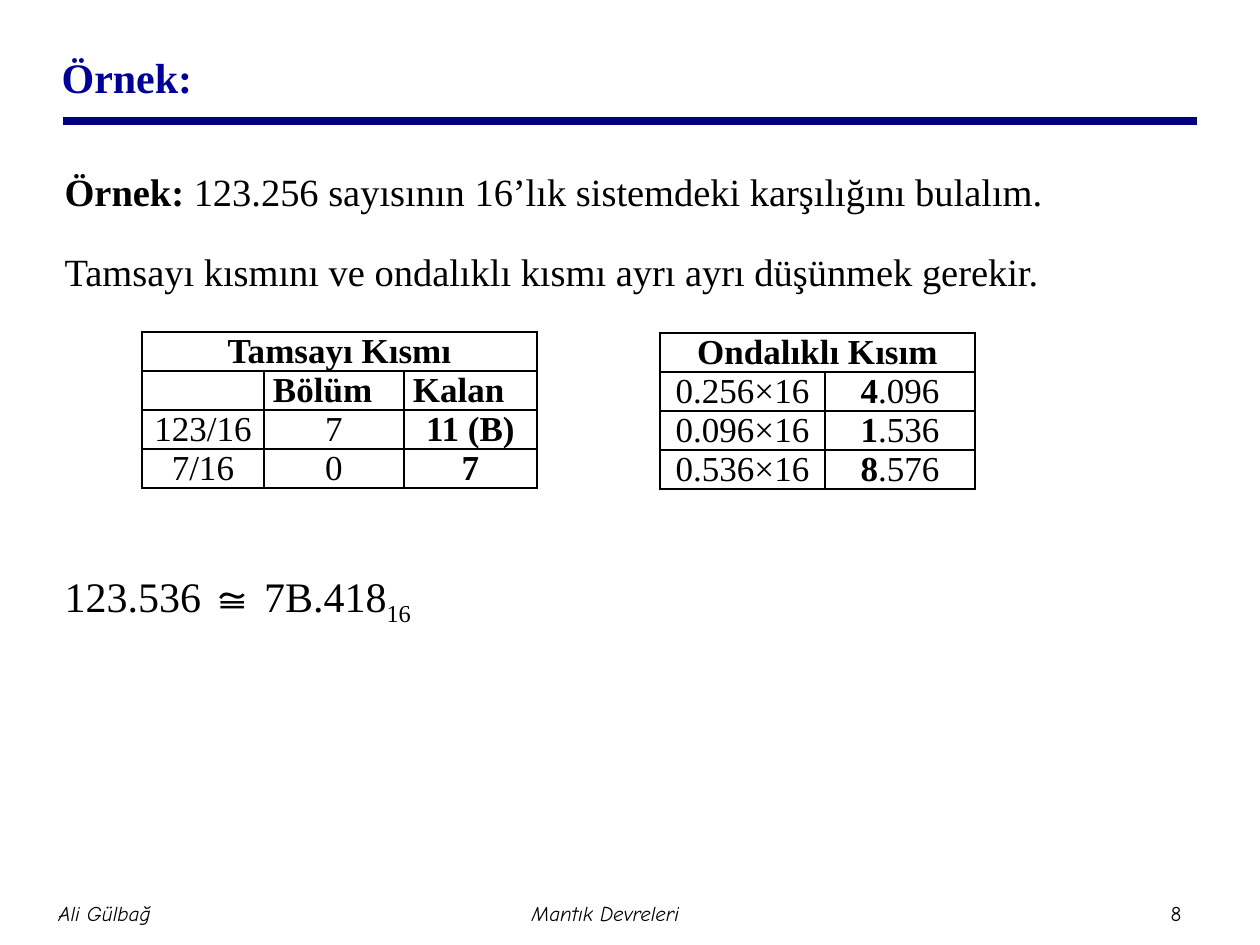
from lxml import etree
from pptx import Presentation
from pptx import util as u
from pptx.dml.color import RGBColor
from pptx.enum import shapes, text
from pptx.oxml.ns import qn

PX = 914400 // 126
COLORS = {"rule": "000080", "title": "000099", "ink": "000000"}
SERIF, HAND = "Times New Roman", "Comic Neue"
LEFT, CENTER, JUSTIFY = text.PP_ALIGN.LEFT, text.PP_ALIGN.CENTER, text.PP_ALIGN.JUSTIFY


def color(name):
    return RGBColor.from_string(COLORS[name])


def place(shape, box):
    shape.left, shape.top, shape.width, shape.height = (n * PX for n in box)


def write(paragraph, runs, size, name=SERIF, ink="ink", align=CENTER, italic=False):
    """Fill a paragraph with (text, bold) runs in one font."""
    paragraph.alignment = align
    font = paragraph.font
    font.name, font.size, font.italic = name, u.Pt(size), italic
    font.color.rgb = color(ink)
    for words, bold in runs:
        run = paragraph.add_run()
        run.text = words
        run.font.bold = bold


def add_title(slide, box):
    title = slide.shapes.title
    place(title, box)
    frame = title.text_frame
    frame.vertical_anchor = text.MSO_ANCHOR.MIDDLE
    frame.auto_size = text.MSO_AUTO_SIZE.NONE
    write(frame.paragraphs[0], [("Örnek:", True)], 24, ink="title", align=LEFT)


def add_rule(slide, left, right, y):
    line = slide.shapes.add_connector(
        shapes.MSO_CONNECTOR.STRAIGHT, left * PX, y * PX, right * PX, y * PX)
    line.line.color.rgb = color("rule")
    line.line.width = u.Pt(4.5)
    etree.SubElement(line._element.spPr, qn("a:effectLst"))


def add_body(slide, box):
    body = slide.placeholders[1]
    place(body, box)
    frame = body.text_frame
    frame.auto_size = text.MSO_AUTO_SIZE.NONE
    lines = [
        (0, 22, [("Örnek: ", True),
                 ("123.256 sayısının 16’lık sistemdeki karşılığını bulalım.", False)]),
        (19, 22, [("Tamsayı kısmını ve ondalıklı kısmı ayrı ayrı düşünmek gerekir.", False)]),
        (158, 24, [("123.536 ≅ 7B.418", False), ("16", False)]),
    ]
    for index, (space, size, runs) in enumerate(lines):
        paragraph = frame.add_paragraph() if index else frame.paragraphs[0]
        properties = paragraph._p.get_or_add_pPr()
        properties.set("marL", "0")
        properties.set("indent", "0")
        etree.SubElement(properties, qn("a:buNone"))
        paragraph.space_before = u.Pt(space)
        write(paragraph, runs, size, align=JUSTIFY)
    subscript = frame.paragraphs[-1].runs[-1]
    subscript._r.get_or_add_rPr().set("baseline", "-25000")


def add_borders(cell):
    properties = cell._tc.get_or_add_tcPr()
    for index, side in enumerate(("lnL", "lnR", "lnT", "lnB")):
        border = etree.Element(qn(f"a:{side}"), w=str(u.Pt(1)))
        fill = etree.SubElement(border, qn("a:solidFill"))
        etree.SubElement(fill, qn("a:srgbClr"), val=COLORS["ink"])
        properties.insert(index, border)


def add_grid(slide, left, top, widths, row_height, heading, rows):
    """Add a table with a heading across all columns; rows hold (runs, align) cells."""
    table = slide.shapes.add_table(
        len(rows) + 1, len(widths), left * PX, top * PX,
        sum(widths) * PX, (len(rows) + 1) * row_height * PX).table
    table.first_row = table.horz_banding = False
    for column, width in zip(table.columns, widths):
        column.width = width * PX
    for row in table.rows:
        row.height = row_height * PX
    for cell in table.iter_cells():
        cell.margin_left = cell.margin_right = 9 * PX
        cell.margin_top = cell.margin_bottom = 0
        cell.fill.background()
        add_borders(cell)
    table.cell(0, 0).merge(table.cell(0, len(widths) - 1))
    write(table.cell(0, 0).text_frame.paragraphs[0], [(heading, True)], 20)
    for r, row in enumerate(rows, 1):
        for c, (runs, align) in enumerate(row):
            write(table.cell(r, c).text_frame.paragraphs[0], runs, 20, align=align)


def add_integer_table(slide, left, top):
    rows = [[([], CENTER), ([("Bölüm", True)], LEFT), ([("Kalan", True)], LEFT)]]
    for division, quotient, remainder in (("123/16", "7", "11 (B)"), ("7/16", "0", "7")):
        rows.append([([(division, False)], CENTER), ([(quotient, False)], CENTER),
                     ([(remainder, True)], CENTER)])
    add_grid(slide, left, top, (122, 140, 133), 39, "Tamsayı Kısmı", rows)


def add_fraction_table(slide, left, top):
    products = (("0.256×16", "4.096"), ("0.096×16", "1.536"), ("0.536×16", "8.576"))
    rows = [[([(product, False)], CENTER),
             ([(result[0], True), (result[1:], False)], CENTER)]
            for product, result in products]
    add_grid(slide, left, top, (165, 150), 39, "Ondalıklı Kısım", rows)


def add_footer(slide, top, height):
    for left, width, words, italic in ((0, 209, "Ali Gülbağ", True),
                                       (380, 451, "Mantık Devreleri", True),
                                       (1146, 60, "8", False)):
        label = slide.shapes.add_textbox(0, 0, 0, 0)
        place(label, (left, top, width, height))
        frame = label.text_frame
        frame.word_wrap = True
        frame.vertical_anchor = text.MSO_ANCHOR.MIDDLE
        frame.margin_left = frame.margin_right = 6 * PX
        write(frame.paragraphs[0], [(words, False)], 12, name=HAND, italic=italic)


def main():
    presentation = Presentation()
    presentation.slide_width, presentation.slide_height = u.Inches(10), u.Inches(7.5)
    slide = presentation.slides.add_slide(presentation.slide_layouts[1])
    add_rule(slide, 63, 1197, 121)
    add_title(slide, (49, 23, 1071, 108))
    add_body(slide, (52, 162, 1154, 695))
    add_integer_table(slide, 142, 332)
    add_fraction_table(slide, 660, 333)
    add_footer(slide, 882, 63)
    presentation.save("out.pptx")


if __name__ == "__main__":
    main()
